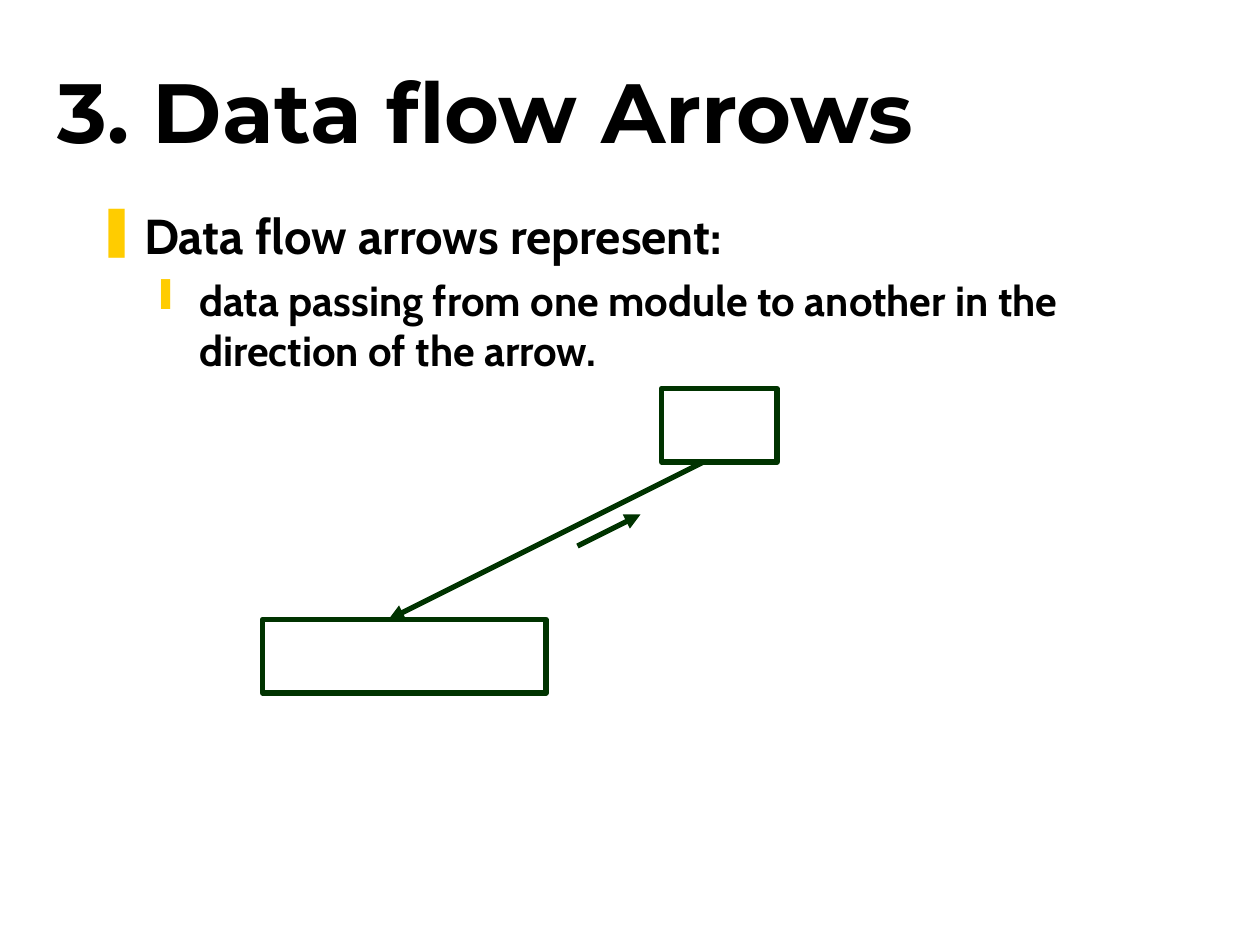
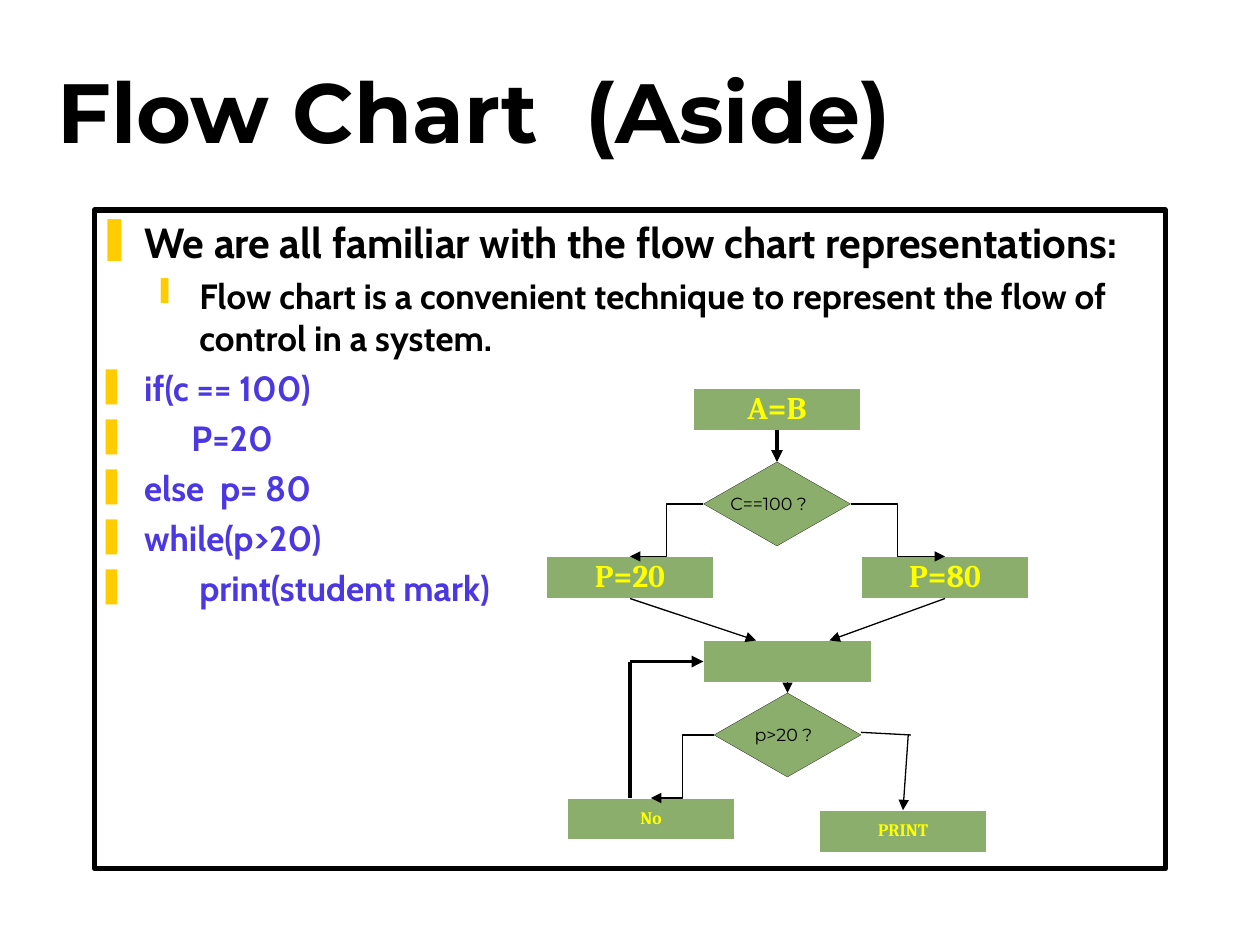
from lxml.etree import SubElement
from pptx import Presentation
from pptx.dml.color import RGBColor
from pptx.enum.shapes import MSO_CONNECTOR as Link, MSO_SHAPE as Preset
from pptx.enum.text import MSO_ANCHOR as Anchor, PP_ALIGN as Align
from pptx.oxml.ns import qn
from pptx.util import Pt

COLOURS = {
    "ink": "000000", "bullet": "FFCC00", "code": "4C38E2", "module": "003300",
    "node": "8BAE6C", "node_edge": "FFFFFF", "node_text": "FFFF00",
}
FONTS = {"title": "Montserrat", "body": "Cabin", "node": "Cambria"}
BULLETS = [("❚", 27, -27), ("❙", 58.5, -22.5)]
TOP, LEFT, BOTTOM = 0, 1, 2
NODE_WIDTH, NODE_HEIGHT = 96, 24
CHOICE_WIDTH, CHOICE_HEIGHT = 84, 48


def colour(name):
    """Return the named colour of the deck."""
    return RGBColor.from_string(COLOURS[name])


def style_font(font, face, size, ink, bold=True):
    """Set face, size, colour and weight of a font."""
    font.name, font.size, font.bold = FONTS[face], Pt(size), bold
    font.color.rgb = colour(ink)


def set_frame(frame, anchor, wrap=True):
    """Give a text frame the shared margins, anchor and wrapping."""
    frame.margin_left = frame.margin_right = Pt(1.4)
    frame.margin_top = frame.margin_bottom = Pt(3.6)
    frame.vertical_anchor, frame.word_wrap = anchor, wrap


def add_bullet(para, level):
    """Indent a paragraph and give it the bullet of its level."""
    mark, margin, indent = BULLETS[level]
    para.level = level
    properties = para._p.get_or_add_pPr()
    properties.set("marL", str(Pt(margin)))
    properties.set("indent", str(Pt(indent)))
    bullet_colour = SubElement(properties, qn("a:buClr"))
    SubElement(bullet_colour, qn("a:srgbClr")).set("val", COLOURS["bullet"])
    SubElement(properties, qn("a:buChar")).set("char", mark)


def add_title(page, text):
    """Write the slide title."""
    box = page.shapes.add_textbox(Pt(31.5), Pt(18), Pt(612), Pt(90))
    set_frame(box.text_frame, Anchor.MIDDLE)
    para = box.text_frame.paragraphs[0]
    para.text = text
    style_font(para.font, "title", 48, "ink")


def add_body(page, top, height, items, framed=False):
    """Write bulleted items of (level, size, colour, text), framed if asked."""
    box = page.shapes.add_textbox(Pt(54), Pt(top), Pt(612), Pt(height))
    if framed:
        box.line.color.rgb, box.line.width = colour("ink"), Pt(3)
    frame = box.text_frame
    set_frame(frame, Anchor.TOP)
    for index, (level, size, ink, text) in enumerate(items):
        para = frame.add_paragraph() if index else frame.paragraphs[0]
        para.text = text
        add_bullet(para, level)
        if index:
            para.space_before = Pt(round(0.23 * size, 1))
        style_font(para.font, "body", size, ink)


def add_block(page, preset, left, top, width, height, fill, edge, weight):
    """Draw a flat shape with its fill and outline."""
    block = page.shapes.add_shape(preset, Pt(left), Pt(top), Pt(width), Pt(height))
    block.shadow.inherit = False
    if preset == Preset.ROUNDED_RECTANGLE:
        block.adjustments[0] = 0
    if fill:
        block.fill.solid()
        block.fill.fore_color.rgb = colour(fill)
    else:
        block.fill.background()
    block.line.color.rgb, block.line.width = colour(edge), Pt(weight)
    return block


def add_node(page, left, top, text="", size=18):
    """Draw a process box of the flow chart."""
    node = add_block(page, Preset.ROUNDED_RECTANGLE, left, top, NODE_WIDTH,
                     NODE_HEIGHT, "node", "node_edge", 0.75)
    if text:
        set_frame(node.text_frame, Anchor.MIDDLE)
        para = node.text_frame.paragraphs[0]
        para.text, para.alignment, para.line_spacing = text, Align.CENTER, 0.85
        style_font(para.font, "node", size, "node_text")
    return node


def add_choice(page, left, top, text, right_margin):
    """Draw a decision diamond of the flow chart."""
    choice = add_block(page, Preset.DIAMOND, left, top, CHOICE_WIDTH,
                       CHOICE_HEIGHT, "node", "ink", 0.11)
    set_frame(choice.text_frame, Anchor.MIDDLE, wrap=False)
    choice.text_frame.margin_right = Pt(right_margin)
    para = choice.text_frame.paragraphs[0]
    para.text, para.alignment = text, Align.CENTER
    style_font(para.font, "title", 10, "ink", bold=False)
    return choice


def add_link(page, start, end, weight=0.75, ink="ink", kind=Link.STRAIGHT,
             arrow=True, source=None, target=None):
    """Draw a line between points, joined to (shape, side) pairs if given."""
    link = page.shapes.add_connector(kind, *map(Pt, start + end))
    link.line.color.rgb, link.line.width = colour(ink), Pt(weight)
    if arrow:
        SubElement(link.line._get_or_add_ln(), qn("a:tailEnd")).set("type", "triangle")
    SubElement(link._element.spPr, qn("a:effectLst"))
    if source:
        link.begin_connect(*source)
    if target:
        link.end_connect(*target)


def add_modules(page, left, top):
    """Draw two modules, the call between them and the data arrow."""
    for x, y, width in [(228, 0, 66), (0, 132, 162)]:
        add_block(page, Preset.ROUNDED_RECTANGLE, left + x, top + y, width, 42,
                  None, "module", 3)
    for x, y, end_x, end_y in [(252, 42, 72, 132), (180, 90, 216, 72)]:
        add_link(page, (left + x, top + y), (left + end_x, top + end_y), 3, "module")


def add_flow_chart(page, left, top):
    """Draw the flow chart with its decisions and loop."""
    def at(x, y):
        """Shift a point into the chart."""
        return left + x, top + y

    assign = add_node(page, *at(84, 0), "A=B")
    first_choice = add_choice(page, *at(90, 42), "C==100 ?", 11)
    low = add_node(page, *at(0, 96), "P=20")
    high = add_node(page, *at(180, 96), "P=80")
    merge = add_node(page, *at(90, 144))
    second_choice = add_choice(page, *at(96, 174), "p>20 ?", 6)
    add_node(page, *at(12, 234), "No", 10)
    output = add_node(page, *at(156, 241), "PRINT", 10)

    add_link(page, at(132, 24), at(132, 42), 2.25,
             source=(assign, BOTTOM), target=(first_choice, TOP))
    for start, end in [((90, 66), (48, 96)), ((174, 66), (228, 96)),
                       ((96, 198), (60, 234))]:
        add_link(page, at(*start), at(*end), kind=Link.ELBOW)
    add_link(page, at(48, 120), at(120, 144), source=(low, BOTTOM))
    add_link(page, at(228, 120), at(162, 144), source=(high, BOTTOM))
    add_link(page, at(138, 168), at(138, 174),
             source=(merge, BOTTOM), target=(second_choice, TOP))
    add_link(page, at(48, 234), at(48, 156), 2.25, arrow=False)
    add_link(page, at(48, 156), at(90, 156), 2.25, target=(merge, LEFT))
    add_link(page, at(180, 196.5), at(208.5, 198), arrow=False)
    add_link(page, at(207, 198), at(204, 241), target=(output, TOP))


def add_arrows_slide(page):
    """Build the slide on data flow arrows."""
    add_title(page, "3. Data flow Arrows")
    add_body(page, 114, 324, [
        (0, 28, "ink", "Data flow arrows represent:"),
        (1, 24, "ink", "data passing from one module to another in the "
                       "direction of the arrow."),
    ])
    add_modules(page, 150, 222)


def add_flow_chart_slide(page):
    """Build the slide on flow charts."""
    code = ["if(c == 100)", "      P=20", "else  p= 80", "while(p>20)",
            "       print(student mark)"]
    add_title(page, "Flow Chart  (Aside)")
    add_body(page, 120, 376.5, [
        (0, 24, "ink", "We are all familiar with the flow chart representations:"),
        (1, 20, "ink", "Flow chart is a convenient technique to represent the "
                       "flow of control in a system."),
        *[(0, 20, "code", line) for line in code],
    ], framed=True)
    add_flow_chart(page, 312, 222)


def main():
    """Build and save the deck."""
    deck = Presentation()
    deck.slide_width, deck.slide_height = Pt(720), Pt(540)
    for build in (add_arrows_slide, add_flow_chart_slide):
        build(deck.slides.add_slide(deck.slide_layouts[6]))
    deck.save("out.pptx")


if __name__ == "__main__":
    main()
